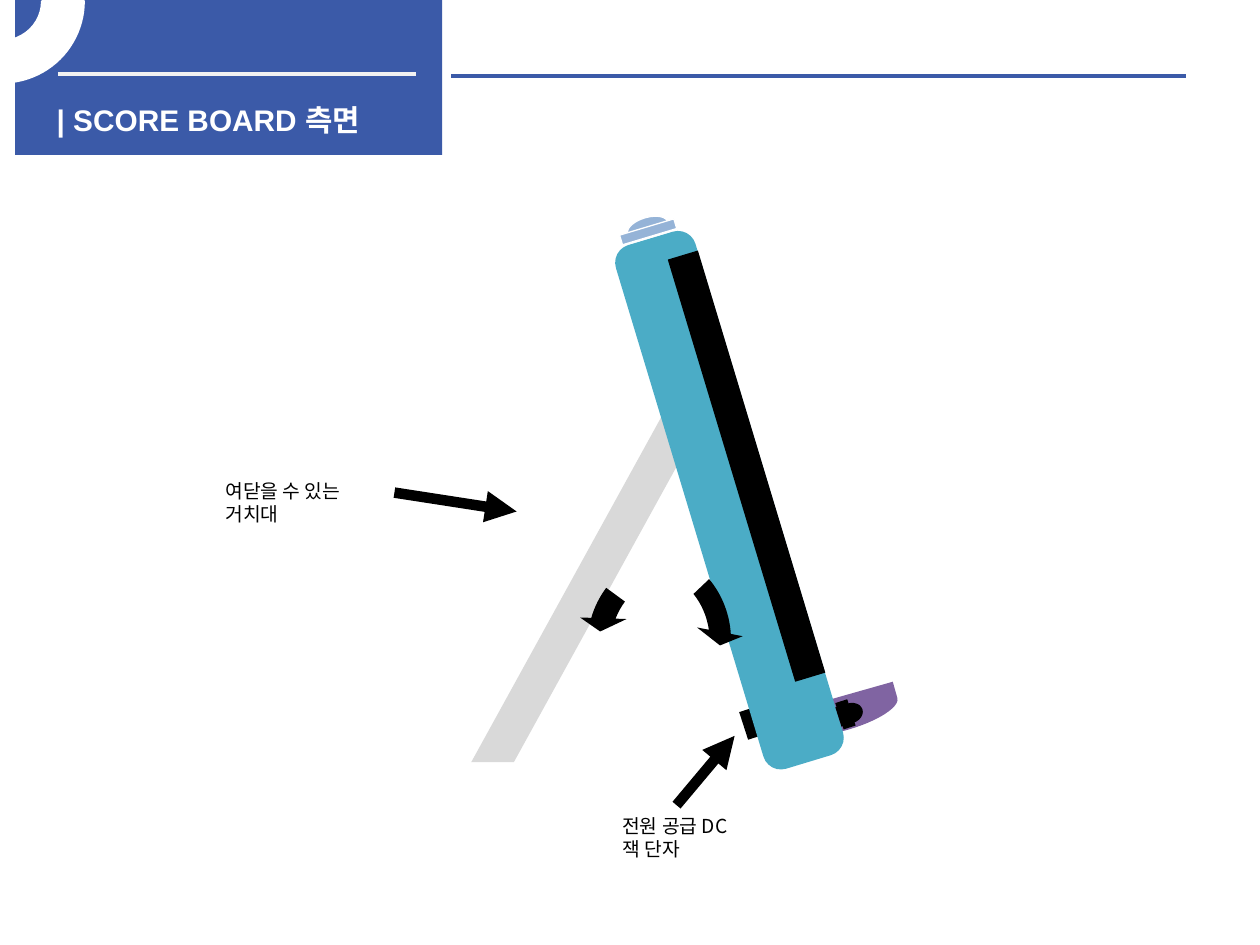
"""Build the slide that shows the score board from the side."""
from lxml.etree import SubElement
from pptx import Presentation
from pptx.dml.color import RGBColor
from pptx.enum.shapes import MSO_CONNECTOR, MSO_SHAPE as Kind
from pptx.enum.text import MSO_ANCHOR, MSO_AUTO_SIZE, PP_ALIGN
from pptx.oxml.ns import qn
from pptx.util import Pt

BLUE = RGBColor(0x3B, 0x5A, 0xA8)
WHITE = RGBColor(0xFF, 0xFF, 0xFF)
PALE = RGBColor(0xF2, 0xF2, 0xF2)
GREY = RGBColor(0xD9, 0xD9, 0xD9)
BLACK = RGBColor(0, 0, 0)
PURPLE = RGBColor(0x80, 0x64, 0xA2)
TEAL = RGBColor(0x4B, 0xAC, 0xC6)
SKY = RGBColor(0x95, 0xB3, 0xD7)

DEG = 0.6
TITLE = "| SCORE BOARD 측면"
TITLE_BOX = (25.2, 54.7, 232.6, 21.6)
KOREAN = "Noto Sans CJK KR"

BACK = [
    dict(kind=Kind.RECTANGLE, box=(424.1, 401, 36, 16.6), fill=BLACK, turn=342.1),
    dict(kind=Kind.FLOWCHART_DELAY, box=(471.6, 375.1, 19.4, 65.5), fill=PURPLE, turn=74.2),
    dict(kind=Kind.DIAGONAL_STRIPE, box=(269.3, 214.6, 121.7, 221), fill=GREY,
         flip="HV", adj=[0.8]),
    dict(kind=Kind.RECTANGLE, box=(8.6, 0, 244.1, 88.6), fill=BLUE),
]
RING = [
    dict(kind=Kind.BLOCK_ARC, box=(-45.4, -45.4, 92.9, 92.2), fill=WHITE, edge=2,
         flip="V", adj=[161.59 * DEG, 0, 0.25]),
]
BOARD = [
    dict(kind=Kind.ROUNDED_RECTANGLE, box=(393.1, 129.6, 47.5, 312.5), fill=TEAL,
         turn=343.2, adj=[0.22]),
    dict(kind=Kind.RECTANGLE, box=(417.6, 140.4, 18, 252), fill=BLACK, turn=343.2),
]
SWING = [
    dict(kind=Kind.CIRCULAR_ARROW, box=(321.8, 305.3, 102.2, 112.3), fill=BLACK, turn=156.5,
         adj=[0.12, 11.42 * DEG, 202.89 * DEG, 160.12 * DEG, 0.13]),
    dict(kind=Kind.CIRCULAR_ARROW, box=(331.2, 306, 102.2, 112.3), fill=BLACK, turn=217.9,
         flip="H", adj=[0.13, 11.42 * DEG, 204.58 * DEG, 181.7 * DEG, 0.13]),
]
BUTTON = [
    dict(kind=Kind.FLOWCHART_DELAY, box=(364.3, 118.1, 11.5, 23.8), fill=SKY, edge=0.75,
         turn=253.3),
    dict(kind=Kind.RECTANGLE, box=(354.2, 129.6, 32.4, 5.8), fill=SKY, edge=0.75, turn=343.3),
]
SENSOR = [
    dict(kind=Kind.FLOWCHART_DELAY, box=(478.8, 401.8, 14.4, 11.5), fill=BLACK, turn=342.3),
    dict(kind=Kind.RECTANGLE, box=(475.2, 404.6, 15.8, 7.2), fill=BLACK, turn=72.3),
]
RULES = [((33.1, 42.5, 237.6, 42.5), PALE), ((257.8, 43.2, 677.5, 43.2), BLUE)]
NOTES = [
    ("전원 공급 DC 잭 단자", (348.5, 462.2, 84.2, 33.8), (386.6, 460.1, 419.8, 420.5)),
    ("여닫을 수 있는 거치대", (121.7, 270.7, 97.9, 33.8), (225.4, 281.5, 295.2, 292.3)),
]


def points(nums):
    return [Pt(n) for n in nums]


def draw(shapes, kind, box, fill, edge=0, turn=0, flip="", adj=()):
    item = shapes.add_shape(kind, *points(box))
    item.shadow.inherit = False
    item.fill.solid()
    item.fill.fore_color.rgb = fill
    if edge:
        item.line.color.rgb = WHITE
        item.line.width = Pt(edge)
    else:
        item.line.fill.background()
    item.rotation = turn
    for axis in flip:
        item._element.spPr.xfrm.set("flip" + axis, "1")
    for i, val in enumerate(adj):
        item.adjustments[i] = val


def link(shapes, ends, color, width, head=False):
    item = shapes.add_connector(MSO_CONNECTOR.STRAIGHT, *points(ends))
    item.line.color.rgb = color
    item.line.width = Pt(width)
    if head:
        SubElement(item.line._get_or_add_ln(), qn("a:tailEnd"), type="triangle")
    SubElement(item._element.spPr, qn("a:effectLst"))


def note(shapes, text, box):
    frame = shapes.add_textbox(*points(box)).text_frame
    frame.word_wrap = True
    para = frame.paragraphs[0]
    para.line_spacing = Pt(13)
    run = para.add_run()
    run.text = text
    font = run.font
    font.name, font.size = KOREAN, Pt(11)
    font.color.rgb = BLACK
    SubElement(font._element, qn("a:ea"), typeface=KOREAN)


def head(shapes):
    item = shapes.title
    item.left, item.top, item.width, item.height = points(TITLE_BOX)
    frame = item.text_frame
    frame.text = TITLE
    frame.auto_size = MSO_AUTO_SIZE.NONE
    frame.vertical_anchor = MSO_ANCHOR.TOP
    para = frame.paragraphs[0]
    para.alignment = PP_ALIGN.LEFT
    font = para.font
    font.name, font.size, font.bold = "Arial", Pt(17), True
    font.color.rgb = WHITE
    shapes._spTree.append(item._element)


def main():
    deck = Presentation()
    deck.slide_width, deck.slide_height = Pt(720), Pt(540)
    shapes = deck.slides.add_slide(deck.slide_layouts[5]).shapes
    for part in BACK:
        draw(shapes, **part)
    for ends, color in RULES:
        link(shapes, ends, color, 2.25)
    head(shapes)
    for part in RING:
        draw(shapes, **part)
    for text, box, ends in NOTES:
        note(shapes, text, box)
        link(shapes, ends, BLACK, 6, head=True)
    for part in BOARD:
        draw(shapes, **part)
    for group in (SWING, BUTTON, SENSOR):
        bunch = shapes.add_group_shape().shapes
        for part in group:
            draw(bunch, **part)
    deck.save("out.pptx")


if __name__ == "__main__":
    main()
